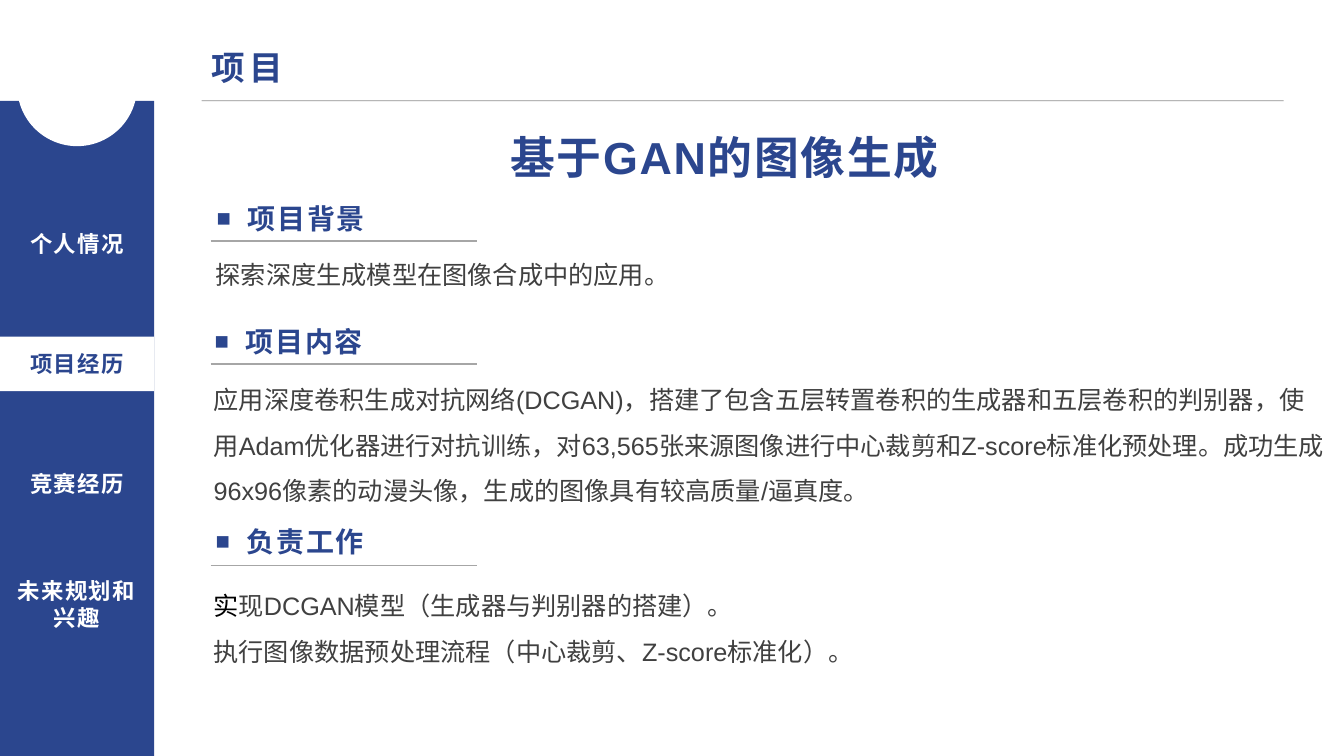
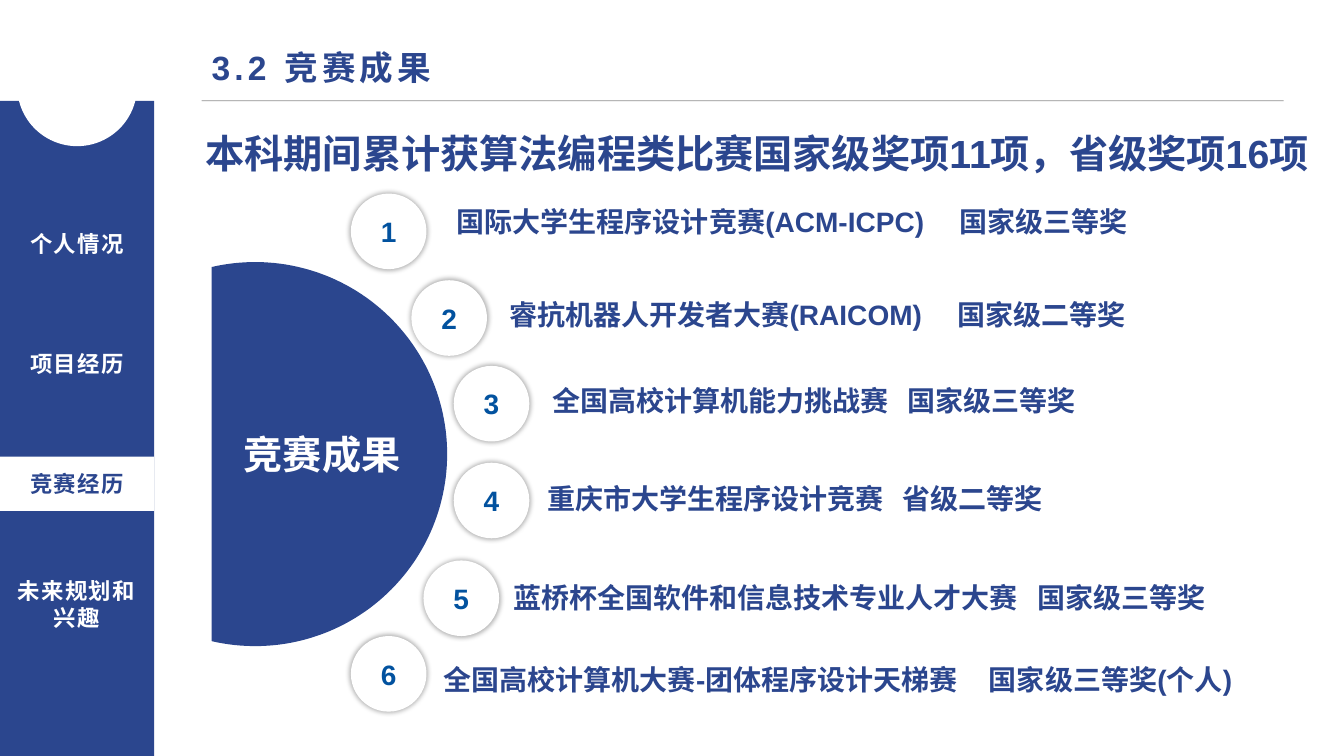
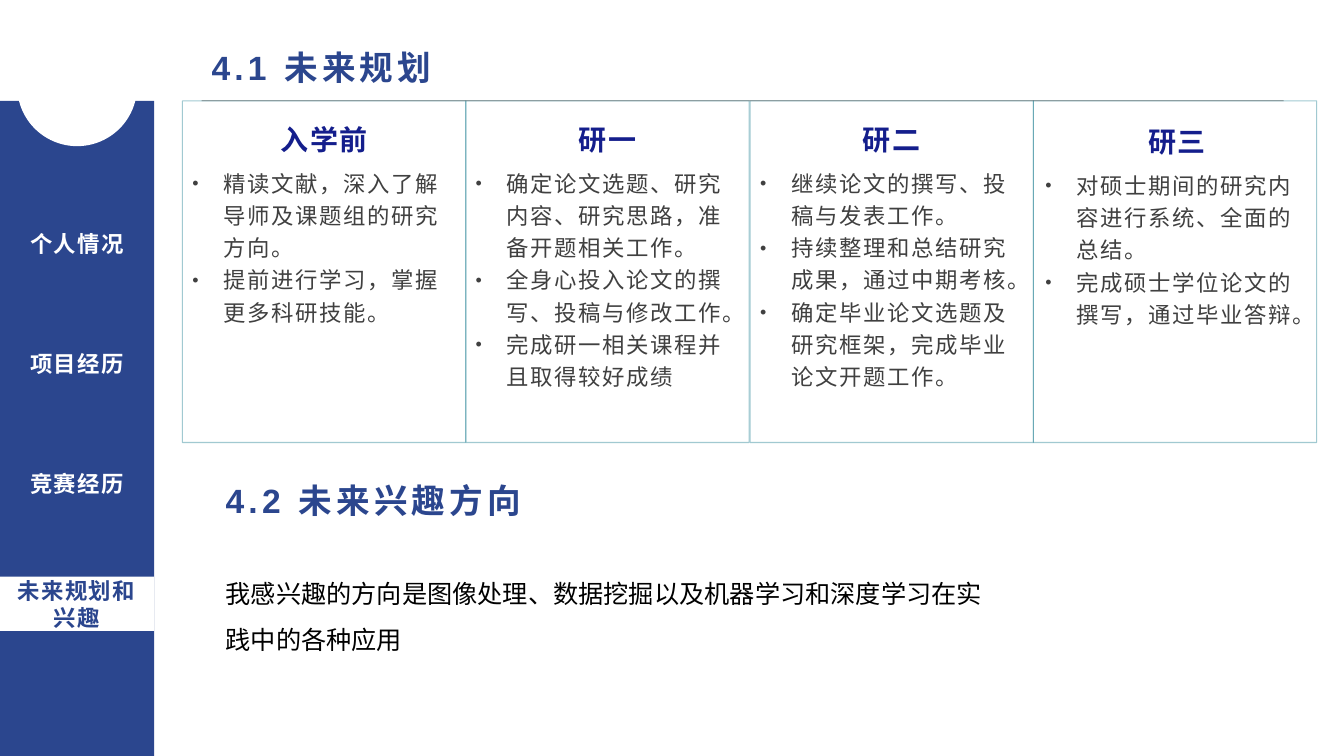
import math
from lxml import etree
from pptx import Presentation, util as u
from pptx.dml.color import RGBColor
from pptx.enum import shapes, text
from pptx.oxml.ns import qn

GRID = u.Inches(0.01)  # one column or row; the slide has 1333 x 750
NAVY, BLUE, INDIGO, TEAL = "2B468E", "02529F", "141E8C", "157A8E"
WHITE, BLACK, BODY, RULE = "FFFFFF", "000000", "404040", "A6A6A6"
ARIAL, NOTO = "Arial", "Noto Sans CJK SC"
OVAL, RECT = shapes.MSO_SHAPE.OVAL, shapes.MSO_SHAPE.RECTANGLE
STRAIGHT = shapes.MSO_CONNECTOR.STRAIGHT
CENTER, MIDDLE = text.PP_ALIGN.CENTER, text.MSO_ANCHOR.MIDDLE


def paint(fill, color):
    if color is None:
        fill.background()
    else:
        fill.solid()
        fill.fore_color.rgb = RGBColor.from_string(color)


def write(home, words, at=None, size=18, color=NAVY, bold=False, font=ARIAL,
          spc=0, align=None, anchor=None, wrap=True, leading=None, after=None,
          bullet=None, bullet_size=85, tab=None, same_line=False):
    """Add a paragraph to a text frame, or to a new box on a slide if at is given."""
    if at:
        home = home.shapes.add_textbox(*[GRID * n for n in at]).text_frame
    home.word_wrap = wrap
    if anchor is not None:
        home.vertical_anchor = anchor
    para = home.paragraphs[-1]
    if para.runs and not same_line:
        para = home.add_paragraph()
    if align is not None:
        para.alignment = align
    if leading:
        para.line_spacing = leading
    if after:
        para.space_after = u.Pt(after)
    props = para._p.get_or_add_pPr()
    if bullet:
        props.set("marL", str(31 * GRID))
        props.set("indent", str(-31 * GRID))
        etree.SubElement(props, qn("a:buSzPct")).set("val", str(bullet_size * 1000))
        etree.SubElement(props, qn("a:buFont")).set("typeface", ARIAL)
        etree.SubElement(props, qn("a:buChar")).set("char", bullet)
    if tab:
        stop = etree.SubElement(etree.SubElement(props, qn("a:tabLst")), qn("a:tab"))
        stop.set("pos", str(tab * GRID))
        stop.set("algn", "l")
    run = para.add_run()
    run.text = words
    run.font.size, run.font.bold, run.font.name = u.Pt(size), bold, font
    paint(run.font.fill, color)
    letters = run._r.get_or_add_rPr()
    letters.set("spc", str(round(spc * 100)))
    etree.SubElement(letters, qn("a:ea")).set("typeface", NOTO)
    return home


deck = Presentation()
deck.slide_width, deck.slide_height = 1333 * GRID, 750 * GRID
faded = []  # (outline, opacity in percent)
rules = []  # (slide, left, right, height, colour, weight)

# Shared frame: title, sidebar with notch, navigation
SECTIONS = ["个人情况", "项目经历", "竞赛经历", "未来规划和兴趣"]
TITLE = dict(size=24, bold=True, spc=3)
pages = []
for title, current in [("项目", 1), ("3.2 竞赛成果", 2), ("4.1 未来规划", 3)]:
    page = deck.slides.add_slide(deck.slide_layouts[6])
    pages.append(page)
    rules.append((page, 200, 1273, 100, "0D0D0D", 0.5))
    write(page, title, at=(200, 42, 1173, 50), **TITLE)
    parts = [(RECT, (0, 100, 153, 650), NAVY, None),
             (OVAL, (17, 26, 119, 119), WHITE, None)]
    parts += [(RECT, (0, 215 + 119 * i, 153, 54), WHITE if i == current else None, name)
              for i, name in enumerate(SECTIONS)]
    for kind, place, color, name in parts:
        part = page.shapes.add_shape(kind, *[GRID * n for n in place])
        part.shadow.inherit = False
        paint(part.fill, color)
        paint(part.line.fill, None)
        if name:
            write(part.text_frame, name, size=16, bold=True, font=NOTO, spc=1.1,
                  color=NAVY if color else WHITE, align=CENTER, anchor=MIDDLE)
project, contests, plans = pages

# Project: heading and three sections
write(project, "基于GAN的图像生成", at=(390, 123, 657, 64), size=32, bold=True,
      spc=1.2, align=CENTER, anchor=MIDDLE)
for heading, left, top, rule in [("项目背景", 205, 195, 239), ("项目内容", 203, 317, 361),
                                 ("负责工作", 204, 515, 561)]:
    write(project, heading, at=(left, top, 197, 44), size=20, bold=True, spc=1.2, bullet="■")
    rules.append((project, 209, 473, rule, RULE, 1))
PROSE = dict(color=BODY, leading=1.5)
write(project, "探索深度生成模型在图像合成中的应用。", at=(204, 149, 805, 232),
      anchor=MIDDLE, **PROSE)
write(project, "应用深度卷积生成对抗网络(DCGAN)，搭建了包含五层转置卷积的生成器和五层卷积的判别器，"
      "使用Adam优化器进行对抗训练，对63,565张来源图像进行中心裁剪和Z-score标准化预处理。"
      "成功生成96x96像素的动漫头像，生成的图像具有较高质量/逼真度。",
      at=(202, 318, 1122, 232), anchor=MIDDLE, **PROSE)
duties = write(project, "实", at=(202, 566, 1100, 192), color=BLACK, font=NOTO, leading=1.5)
write(duties, "现DCGAN模型（生成器与判别器的搭建）。", same_line=True, **PROSE)
write(duties, "执行图像数据预处理流程（中心裁剪、Z-score标准化）。", **PROSE)

# Contests: cut disc with numbered awards around it
center_x, center_y, radius, cut = 253, 450.5, 190.5, 210
reach = math.acos((cut - center_x) / radius)
arc = [(round((center_x + radius * math.cos(a)) * GRID),
        round((center_y + radius * math.sin(a)) * GRID))
       for a in [reach * (i / 60 - 1) for i in range(121)]]
outline = contests.shapes.build_freeform(*arc[0], scale=1.0)
outline.add_line_segments(arc[1:], close=True)
disc = outline.convert_to_shape()
disc.shadow.inherit = False
paint(disc.fill, NAVY)
paint(disc.line.fill, None)
write(contests, "竞赛成果", at=(232, 422, 176, 57), size=28, bold=True, font=NOTO,
      color=WHITE, wrap=False)

AWARDS = [  # name, award, badge left and top, text left, top and width, award column
    ("国际大学生程序设计竞赛(ACM-ICPC)", "国家级三等奖", 348, 192, 443, 198, 748, 952),
    ("睿抗机器人开发者大赛(RAICOM)", "国家级二等奖", 408, 278, 495, 290, 725, 950),
    ("全国高校计算机能力挑战赛", "国家级三等奖", 450, 363, 538, 376, 673, 900),
    ("重庆市大学生程序设计竞赛", "省级二等奖", 450, 459, 533, 473, 686, 895),
    ("蓝桥杯全国软件和信息技术专业人才大赛", "国家级三等奖", 420, 556, 499, 571, 718, 1029),
    ("全国高校计算机大赛-团体程序设计天梯赛", "国家级三等奖(个人)", 348, 631, 430, 652, 819, 981),
]
for number, (contest, award, x, y, left, top, width, column) in enumerate(AWARDS, 1):
    badge = contests.shapes.add_shape(OVAL, x * GRID, y * GRID, 75 * GRID, 75 * GRID)
    paint(badge.fill, WHITE)
    paint(badge.line.fill, None)
    badge.shadow.inherit = False
    glow = etree.SubElement(badge.element.spPr.find(qn("a:effectLst")), qn("a:outerShdw"))
    for key, value in dict(blurRad=5 * GRID, sx=103000, sy=103000, algn="ctr").items():
        glow.set(key, str(value))
    shade = etree.SubElement(glow, qn("a:srgbClr"))
    shade.set("val", BLACK)
    etree.SubElement(shade, qn("a:alpha")).set("val", "30000")
    write(badge.text_frame, str(number), size=20, bold=True, color=BLUE,
          align=CENTER, anchor=MIDDLE)
    write(contests, f"{contest}\t{award}", at=(left, top, width, 44), size=20, bold=True,
          tab=column - left - 10)
write(contests, "本科期间累计获算法编程类比赛国家级奖项11项，省级奖项16项",
      at=(194, 123, 1133, 57), size=28, bold=True)

# Plans: four stages side by side
STAGES = [
    ("入学前", ["精读文献，深入了解导师及课题组的研究方向。", "提前进行学习，掌握更多科研技能。"]),
    ("研一", ["确定论文选题、研究内容、研究思路，准备开题相关工作。",
            "全身心投入论文的撰写、投稿与修改工作。", "完成研一相关课程并且取得较好成绩"]),
    ("研二", ["继续论文的撰写、投稿与发表工作。", "持续整理和总结研究成果，通过中期考核。",
            "确定毕业论文选题及研究框架，完成毕业论文开题工作。"]),
    ("研三", ["对硕士期间的研究内容进行系统、全面的总结。", "完成硕士学位论文的撰写，通过毕业答辩。"]),
]
for i, (stage, goals) in enumerate(STAGES):
    left = round(181 + 281.33 * i)
    nudge = 2 if i == 3 else 0
    frame = plans.shapes.add_shape(RECT, left * GRID, 100 * GRID, 281 * GRID, 339 * GRID)
    frame.shadow.inherit = False
    paint(frame.fill, None)
    paint(frame.line.fill, TEAL)
    frame.line.width = u.Pt(0.75)
    faded.append((frame, 40))
    column = write(plans, stage, at=(left + nudge, 100 + nudge, 281, 262), size=20, bold=True,
                   color=INDIGO, spc=1.2, align=CENTER, leading=1.5, after=6)
    for goal in goals:
        write(column, goal, size=16, color=BODY, spc=1.2, leading=1.2,
              bullet="•", bullet_size=80)

# Plans: interests
write(plans, "4.2 未来兴趣方向", at=(214, 471, 1173, 50), **TITLE)
write(plans, "我感兴趣的方向是图像处理、数据挖掘以及机器学习和深度学习在实践中的各种应用",
      at=(214, 554, 793, 101), color=BLACK, font=NOTO, leading=1.5)

# Rules under titles and headings
for page, left, right, y, color, weight in rules:
    rule = page.shapes.add_connector(STRAIGHT, left * GRID, y * GRID, right * GRID, y * GRID)
    paint(rule.line.fill, color)
    rule.line.width = u.Pt(weight)
    etree.SubElement(rule.element.spPr, qn("a:effectLst"))
    if color != RULE:
        faded.append((rule, 46))
for part, opacity in faded:
    for tint in part.element.spPr.iter(qn("a:srgbClr")):
        etree.SubElement(tint, qn("a:alpha")).set("val", str(opacity * 1000))

deck.save("out.pptx")
